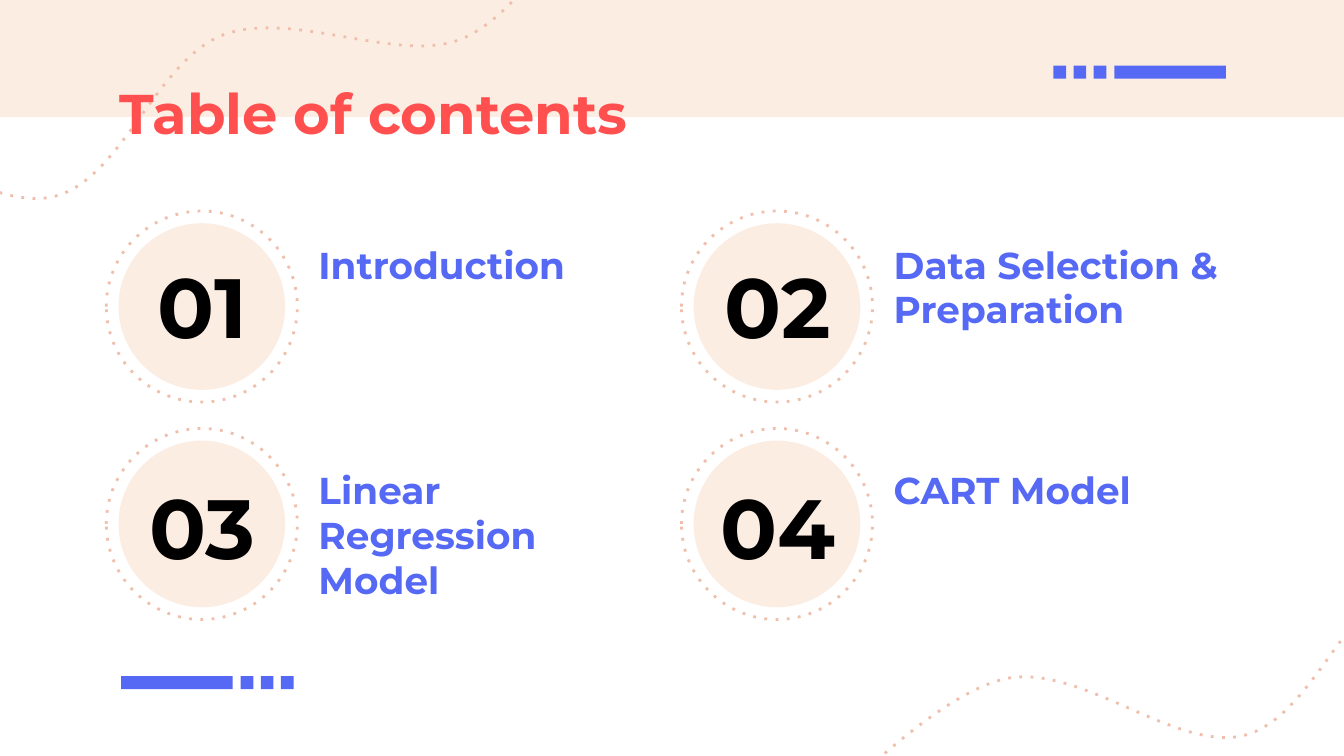
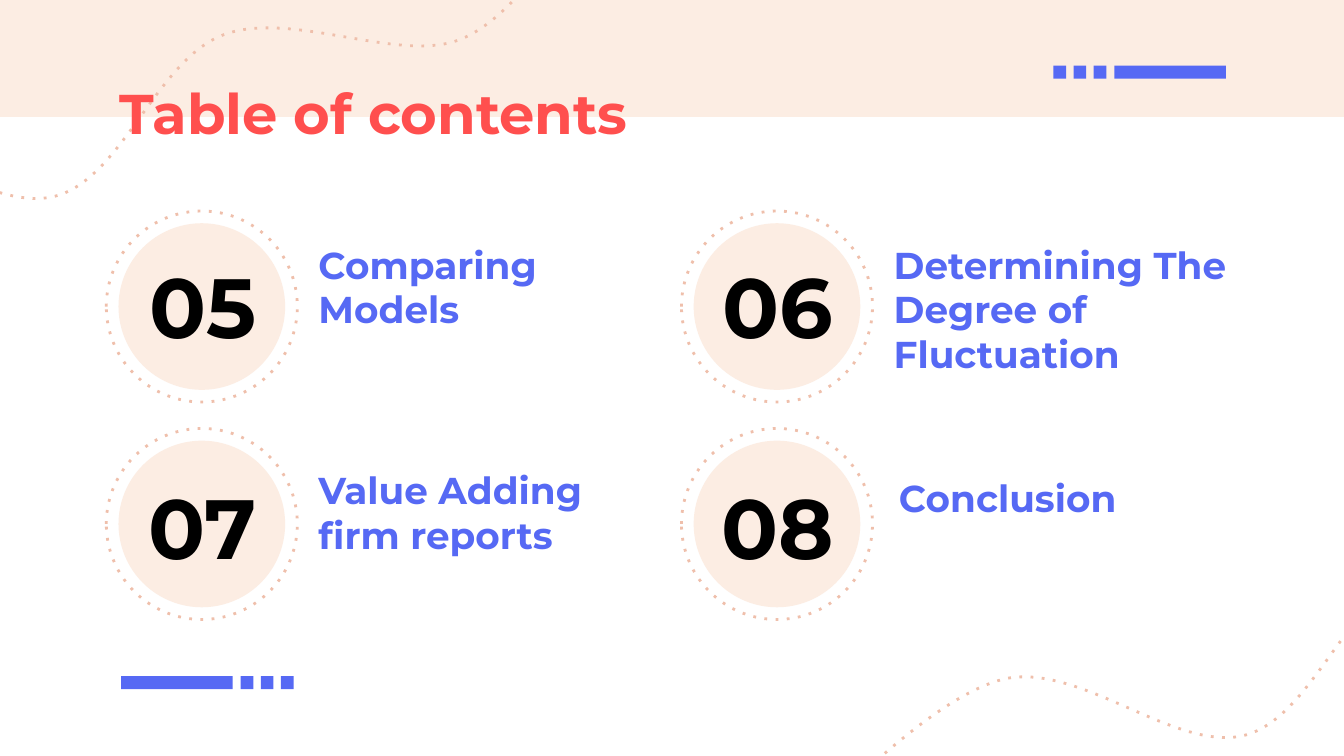
from lxml.etree import SubElement
from pptx import Presentation
from pptx.dml.color import RGBColor
from pptx.enum.shapes import MSO_SHAPE
from pptx.enum.text import MSO_ANCHOR, MSO_AUTO_SIZE, PP_ALIGN
from pptx.oxml.ns import qn
from pptx.util import Cm, Pt

# Shared look
PEACH, CORAL, BLUE, RED, BLACK = "FCEDE3", "EFBFAB", "5669F4", "FF4F4E", "000000"
TITLE = {"size": Pt(30), "color": RED, "align": PP_ALIGN.LEFT}
NUMBER = {"size": Pt(45), "color": BLACK, "align": PP_ALIGN.CENTER}
LABEL = {"size": Pt(20), "color": BLUE, "align": PP_ALIGN.LEFT}

# Grid of topics, in cm
COLUMN_GAP = 10.87
RING_GAP, NUMBER_GAP, LABEL_GAP = 4.11, 4.17, 4.27

# Wave in hundredths of a cm: start, then three points per curve segment
WAVE = [
    (0, 754),
    (66, 704), (259, 490), (401, 457),
    (544, 427), (724, 597), (853, 564),
    (980, 531), (1044, 307), (1171, 259),
    (1298, 211), (1499, 312), (1615, 269),
    (1732, 226), (1826, 43), (1869, 0),
]

# Topic text, with an optional shift of the label
SLIDES = [
    [("Introduction", 0, 0),
     ("Data Selection & Preparation", 0, 0),
     ("Linear Regression Model", 0, 0),
     ("CART Model", 0, 0)],
    [("Comparing Models", 0, 0),
     ("Determining The Degree of Fluctuation", 0, 0),
     ("Value Adding firm reports", 0, 0),
     ("Conclusion", 0.1, 0.15)],
]


def rgb(color):
    return RGBColor.from_string(color)


def add_filled(shapes, kind, x, y, w, h, color):
    sp = shapes.add_shape(kind, Cm(x), Cm(y), Cm(w), Cm(h))
    sp.shadow.inherit = False
    sp.fill.solid()
    sp.fill.fore_color.rgb = rgb(color)
    sp.line.fill.background()
    return sp


def dot_outline(sp):
    sp.shadow.inherit = False
    sp.fill.background()
    sp.line.color.rgb = rgb(CORAL)
    sp.line.width = Pt(1.5)
    ln = sp.element.spPr.find(qn("a:ln"))
    SubElement(ln, qn("a:prstDash")).set("val", "dot")


def add_wave(shapes, x, y):
    builder = shapes.build_freeform(*WAVE[0], scale=Cm(0.01))
    builder.add_line_segments(WAVE[1:], close=False)
    sp = builder.convert_to_shape(Cm(x), Cm(y))
    dot_outline(sp)
    # Turn each three straight segments into one Bézier segment
    lines = list(sp.element.iter(qn("a:lnTo")))
    for i in range(0, len(lines), 3):
        curve = lines[i]
        curve.tag = qn("a:cubicBezTo")
        for line in lines[i + 1:i + 3]:
            curve.append(line[0])
            line.getparent().remove(line)
    return sp


def add_dash_bar(shapes, bar_x, squares_x, y):
    group = shapes.add_group_shape()
    add_filled(group.shapes, MSO_SHAPE.RECTANGLE, bar_x, y, 2.11, 0.25, BLUE)
    for i in range(3):
        add_filled(group.shapes, MSO_SHAPE.RECTANGLE,
                   squares_x + 0.38 * i, y, 0.24, 0.25, BLUE)
    return group


def decorate_layout(layout, s):
    """Draw the band, waves and bars, then hand them to the layout."""
    parts = [
        add_filled(s.shapes, MSO_SHAPE.RECTANGLE, -0.03, 0, 25.43, 2.21, PEACH),
        add_wave(s.shapes, -7.49, -1.93),
        add_wave(s.shapes, 14.99, 8.26),
        add_dash_bar(s.shapes, 21.06, 19.91, 1.24),
        add_dash_bar(s.shapes, 2.29, 4.55, 12.78),
    ]
    tree = layout.shapes.element
    for part in parts:
        tree.append(part.element)
    for number, props in enumerate(tree.iter(qn("p:cNvPr")), start=1):
        props.set("id", str(number))


def write(sp, text, style):
    tf = sp.text_frame
    frame = {"word_wrap": True, "auto_size": MSO_AUTO_SIZE.NONE,
             "vertical_anchor": MSO_ANCHOR.TOP}
    for side in ("left", "top", "right", "bottom"):
        frame["margin_" + side] = Cm(0.25)
    for name, value in frame.items():
        setattr(tf, name, value)
    p = tf.paragraphs[0]
    p.alignment = style["align"]
    r = p.add_run()
    r.text = text
    for name, value in {"name": "Montserrat", "size": style["size"], "bold": True}.items():
        setattr(r.font, name, value)
    r.font.color.rgb = rgb(style["color"])


def add_text(s, x, y, w, h, text, style):
    write(s.shapes.add_textbox(Cm(x), Cm(y), Cm(w), Cm(h)), text, style)


def set_title(s, text):
    title = s.shapes.title
    box = {"left": 2.01, "top": 1.24, "width": 21.41, "height": 1.6}
    for name, value in box.items():
        setattr(title, name, Cm(value))
    write(title, text, TITLE)


def add_topic(s, row, column, number, text, shift_x, shift_y):
    x = column * COLUMN_GAP
    ring_y = 3.99 + row * RING_GAP
    ring = s.shapes.add_shape(MSO_SHAPE.OVAL, Cm(2.01 + x), Cm(ring_y), Cm(3.61), Cm(3.61))
    dot_outline(ring)
    add_filled(s.shapes, MSO_SHAPE.OVAL, 2.24 + x, ring_y + 0.23, 3.15, 3.15, PEACH)
    add_text(s, 1.9 + x, 4.57 + row * NUMBER_GAP, 3.86, 2.82, f"{number:02d}", NUMBER)
    add_text(s, 5.77 + x + shift_x, 4.32 + row * LABEL_GAP + shift_y, 6.88, 1.22, text, LABEL)


def main():
    prs = Presentation()
    prs.slide_width, prs.slide_height = Cm(25.4), Cm(14.29)
    layout = prs.slide_layouts.get_by_name("Title Only")
    for page, topics in enumerate(SLIDES):
        s = prs.slides.add_slide(layout)
        if page == 0:
            decorate_layout(layout, s)
        set_title(s, "Table of contents")
        for i, topic in enumerate(topics):
            row, column = divmod(i, 2)
            add_topic(s, row, column, page * 4 + i + 1, *topic)
    prs.save("out.pptx")


if __name__ == "__main__":
    main()
